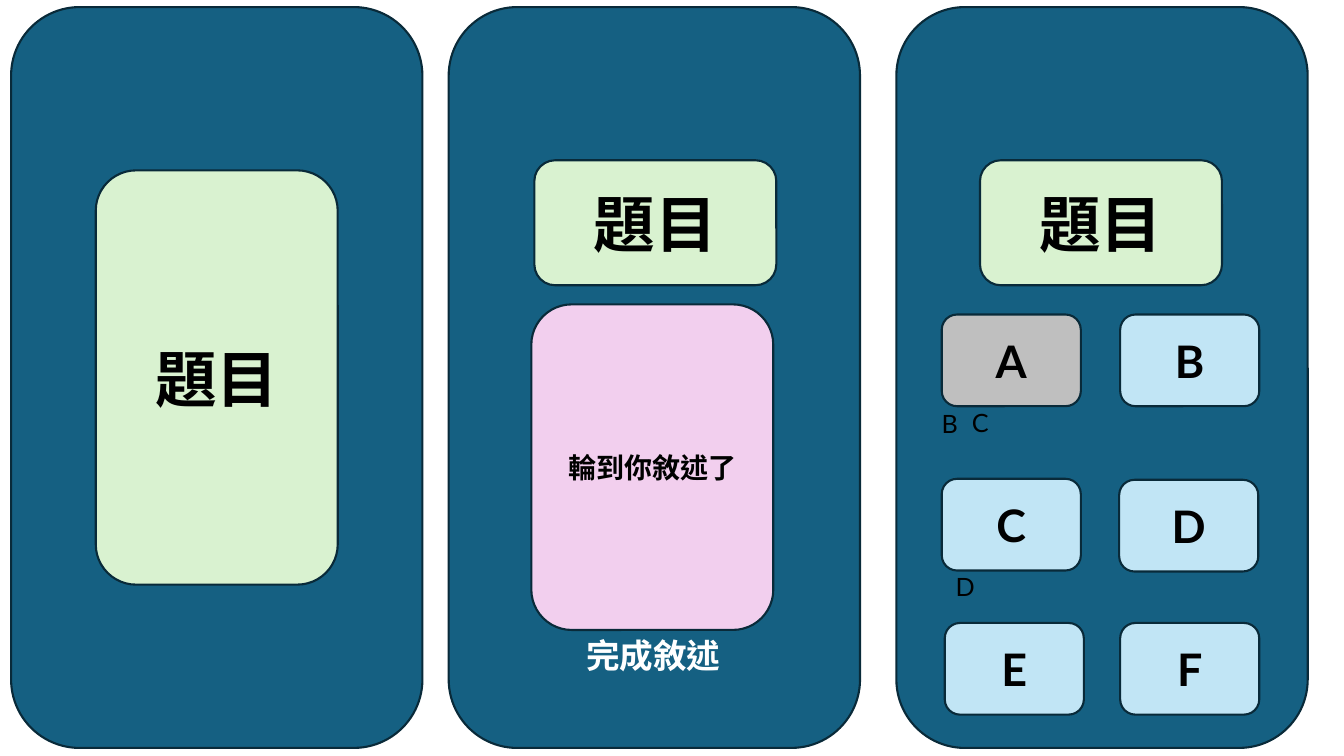
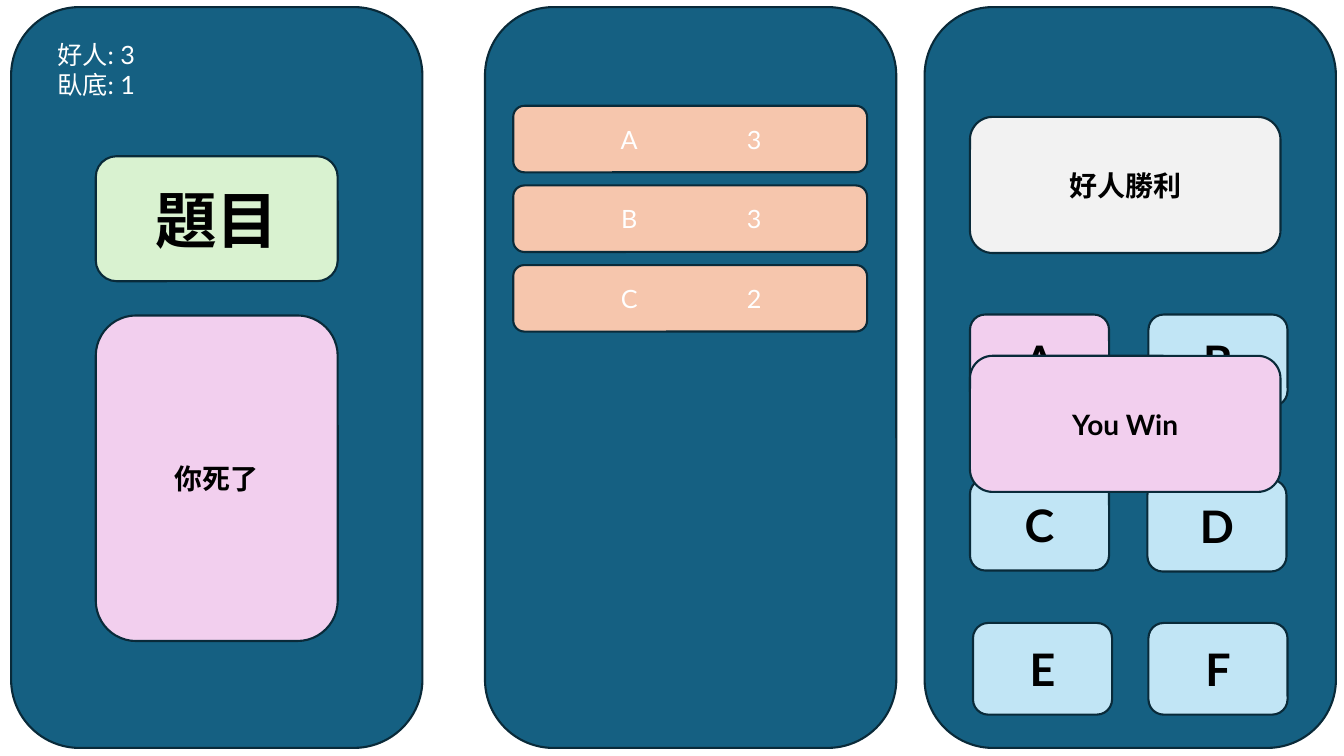
import pptx
import pptx.dml.color
import pptx.enum.lang
import pptx.enum.shapes
import pptx.enum.text
import pptx.util
from lxml import etree
from pptx.oxml.ns import qn

PX = 9144  # 100 px to the inch
FONT = "Lato"
COLORS = {
    "panel": "156082",
    "outline": "092A39",
    "topic": "D9F2D0",
    "message": "F2CFEE",
    "option": "C1E5F5",
    "used": "BFBFBF",
    "score": "F6C6AD",
    "result": "F2F2F2",
    "dark": "000000",
    "light": "FFFFFF",
}
PANEL_TOP, PANEL_WIDTH, PANEL_HEIGHT = 7, 408, 735
CARD_WIDTH, TOPIC_HEIGHT, MESSAGE_HEIGHT = 240, 124, 323
# Left offset within the panel, and top on the slide
OPTIONS = {
    "A": (45, 312), "B": (222, 312),
    "C": (45, 475), "D": (221, 476),
    "E": (48, 618), "F": (222, 618),
}
SCORES = [("A", 3), ("B", 3), ("C", 2)]
SCORE_TOP, SCORE_PITCH = 105, 79
SCORE_TABS = (102, 226)


def color(name):
    return pptx.dml.color.RGBColor.from_string(COLORS[name])


def lengths(*values):
    return [pptx.util.Emu(value * PX) for value in values]


def write(box, text, size=20, bold=True, ink="dark", align="CENTER", tabs=()):
    """Fill a shape with text, one paragraph per line, with centred tab stops."""
    frame = box.text_frame
    frame.word_wrap = True
    for index, line in enumerate(text.split("\n")):
        para = frame.add_paragraph() if index else frame.paragraphs[0]
        para.alignment = getattr(pptx.enum.text.PP_ALIGN, align)
        if tabs:
            stops = etree.SubElement(para._p.get_or_add_pPr(), qn("a:tabLst"))
            for stop in tabs:
                etree.SubElement(stops, qn("a:tab"), pos=str(stop * PX), algn="ctr")
        span = para.add_run()
        span.text = line
        span.font.name = FONT
        span.font.size = pptx.util.Pt(size)
        span.font.bold = bold
        span.font.color.rgb = color(ink)
        span.font.language_id = pptx.enum.lang.MSO_LANGUAGE_ID.TRADITIONAL_CHINESE


def add_card(slide, left, top, width, height, fill, text="", **style):
    card = slide.shapes.add_shape(
        pptx.enum.shapes.MSO_SHAPE.ROUNDED_RECTANGLE,
        *lengths(left, top, width, height))
    card.shadow.inherit = False
    card.fill.solid()
    card.fill.fore_color.rgb = color(fill)
    card.line.color.rgb = color("outline")
    card.line.width = pptx.util.Pt(1.5)
    card.text_frame.vertical_anchor = pptx.enum.text.MSO_ANCHOR.MIDDLE
    if text:
        write(card, text, **style)


def add_label(slide, left, top, width, height, text, **style):
    label = slide.shapes.add_textbox(*lengths(left, top, width, height))
    label.text_frame.auto_size = pptx.enum.text.MSO_AUTO_SIZE.SHAPE_TO_FIT_TEXT
    write(label, text, **style)


def add_panel(slide, left):
    add_card(slide, left, PANEL_TOP, PANEL_WIDTH, PANEL_HEIGHT, "panel")


def add_topic(slide, left, top, height=TOPIC_HEIGHT):
    add_card(slide, left, top, CARD_WIDTH, height, "topic", "題目", size=44)


def add_message(slide, left, top, text):
    add_card(slide, left, top, CARD_WIDTH, MESSAGE_HEIGHT, "message", text)


def add_options(slide, panel_left, first_fill):
    for letter, (offset, top) in OPTIONS.items():
        fill = first_fill if letter == "A" else "option"
        add_card(slide, panel_left + offset, top, 138, 91, fill, letter, size=32)


def add_scores(slide, left):
    for row, (letter, votes) in enumerate(SCORES):
        add_card(slide, left, SCORE_TOP + row * SCORE_PITCH, 351, 66, "score",
                 f"\t{letter}\t{votes}", size=18, bold=False, ink="light",
                 align="LEFT", tabs=SCORE_TABS)


def build_round(slide):
    """Topic, description turn and voting screens."""
    add_panel(slide, 11)
    add_topic(slide, 95, 169, height=411)

    add_panel(slide, 445)
    add_topic(slide, 530, 159)
    add_label(slide, 547, 625, 202, 50, "完成敘述", size=24, ink="light")
    add_message(slide, 527, 302, "輪到你敘述了")

    add_panel(slide, 889)
    add_options(slide, 889, "used")
    add_topic(slide, 972, 159)
    for voter, left, top in (("B", 924, 400), ("C", 954, 399), ("D", 938, 562)):
        add_label(slide, left, top, 49, 40, voter, size=18, bold=False, align="LEFT")


def build_outcome(slide):
    """Elimination, score and victory screens."""
    add_panel(slide, 11)
    add_message(slide, 95, 313, "你死了")
    add_topic(slide, 95, 155)
    add_label(slide, 47, 34, 226, 71, "好人: 3\n臥底: 1",
              size=18, bold=False, ink="light", align="LEFT")

    add_panel(slide, 481)
    add_scores(slide, 509)

    add_panel(slide, 917)
    add_options(slide, 917, "message")
    add_card(slide, 962, 116, 308, 135, "result", "好人勝利")
    add_card(slide, 962, 353, 308, 135, "message", "You Win")


def main():
    deck = pptx.Presentation()
    deck.slide_width, deck.slide_height = lengths(1333, 750)
    blank = deck.slide_layouts[6]
    for build in (build_round, build_outcome):
        build(deck.slides.add_slide(blank))
    deck.save("out.pptx")


if __name__ == "__main__":
    main()
